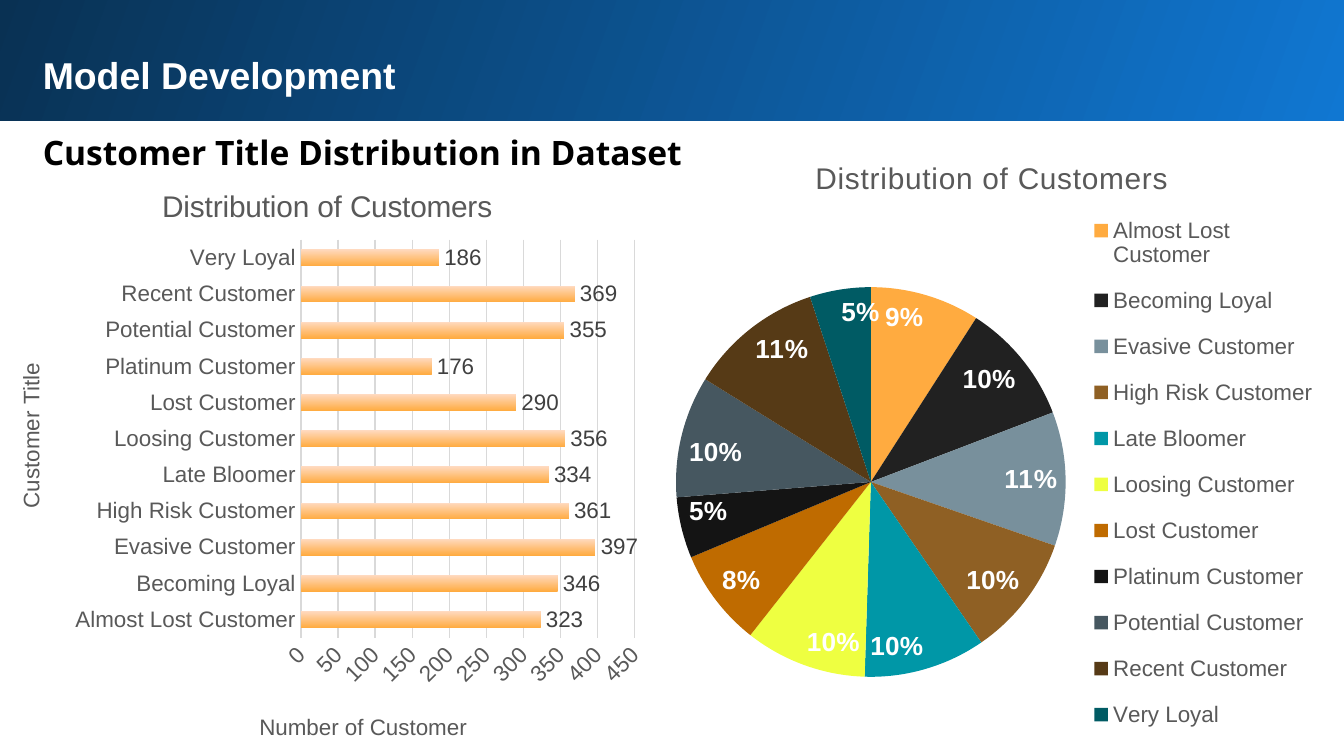
from dataclasses import dataclass

from lxml.etree import SubElement
from pptx import Presentation
from pptx.chart.data import CategoryChartData
from pptx.dml.color import RGBColor
from pptx.enum.chart import XL_CHART_TYPE, XL_LABEL_POSITION, XL_LEGEND_POSITION, XL_TICK_MARK
from pptx.enum.shapes import MSO_SHAPE
from pptx.enum.text import MSO_AUTO_SIZE
from pptx.oxml.ns import qn
from pptx.util import Inches, Pt

COLORS = {
    "white": "FFFFFF", "black": "000000", "gray": "595959", "label": "404040",
    "grid": "D9D9D9", "header_light": "1077D2", "header_dark": "093153",
    "bar": "FFAB40", "bar_light": "FFDAC0",
}


@dataclass
class Box:
    left: float
    top: float
    width: float
    height: float

    def inches(self) -> tuple:
        return tuple(Inches(v) for v in (self.left, self.top, self.width, self.height))


@dataclass
class Segment:
    title: str
    customers: int
    share: int
    color: str


SEGMENTS = [
    Segment("Almost Lost Customer", 323, 9, "FFAB40"),
    Segment("Becoming Loyal", 346, 10, "212121"),
    Segment("Evasive Customer", 397, 11, "78909C"),
    Segment("High Risk Customer", 361, 10, "8F6024"),
    Segment("Late Bloomer", 334, 10, "0097A7"),
    Segment("Loosing Customer", 356, 10, "EEFF41"),
    Segment("Lost Customer", 290, 8, "BF6B00"),
    Segment("Platinum Customer", 176, 5, "141414"),
    Segment("Potential Customer", 355, 10, "465760"),
    Segment("Recent Customer", 369, 11, "563A16"),
    Segment("Very Loyal", 186, 5, "005B64"),
]


def rgb(name: str) -> RGBColor:
    return RGBColor.from_string(COLORS.get(name, name))


def style_font(font, size: float, color: str, bold: bool = False, name: str = "Arial") -> None:
    font.size = Pt(size)
    font.name = name
    font.bold = bold
    font.color.rgb = rgb(color)


def write_text(frame, text: str, *, size: float, color: str, bold: bool = False,
               name: str = "Arial", line_spacing: float | None = None,
               tracking: int = 0) -> None:
    paragraph = frame.paragraphs[0]
    run = paragraph.add_run()
    run.text = text
    style_font(run.font, size, color, bold, name)
    if line_spacing:
        paragraph.line_spacing = line_spacing
    if tracking:
        run._r.get_or_add_rPr().set("spc", str(tracking))


def add_heading(slide, box: Box, text: str, **text_format) -> None:
    frame = slide.shapes.add_textbox(*box.inches()).text_frame
    frame.word_wrap = True
    frame.auto_size = MSO_AUTO_SIZE.SHAPE_TO_FIT_TEXT
    frame.margin_left = frame.margin_right = Inches(0.1)
    frame.margin_top = frame.margin_bottom = Inches(0.1)
    write_text(frame, text, **text_format)


def fill_gradient(fill, start: str, end: str, angle: float) -> None:
    fill.gradient()
    fill.gradient_angle = angle
    for stop, color in zip(fill.gradient_stops, (start, end)):
        stop.color.rgb = rgb(color)


def set_layout(element, index: int, inner: bool = False, **fractions: float) -> None:
    for old_layout in element.findall(qn("c:layout")):
        element.remove(old_layout)
    layout = element.makeelement(qn("c:layout"), {})
    element.insert(index, layout)
    manual = SubElement(layout, qn("c:manualLayout"))
    if inner:
        SubElement(manual, qn("c:layoutTarget")).set("val", "inner")
    for key in ("x", "y"):
        SubElement(manual, qn(f"c:{key}Mode")).set("val", "edge")
    for key, fraction in fractions.items():
        SubElement(manual, qn(f"c:{key}")).set("val", str(fraction))


def add_distribution(slide, box: Box, kind, values: list[int], tracking: int = 0):
    data = CategoryChartData()
    data.categories = [segment.title for segment in SEGMENTS]
    data.add_series("Series 1", values)
    chart = slide.shapes.add_chart(kind, *box.inches(), data).chart
    style_font(chart.font, 10, "black")
    chart.has_title = True
    write_text(chart.chart_title.text_frame, "Distribution of Customers",
               size=16, color="gray", tracking=tracking)
    chart.chart_title.include_in_layout = False
    return chart


def style_axis(axis, title: str, rotation: int) -> None:
    axis.major_tick_mark = axis.minor_tick_mark = XL_TICK_MARK.NONE
    style_font(axis.tick_labels.font, 12, "gray")
    axis.has_title = True
    write_text(axis.axis_title.text_frame, title, size=12, color="gray")
    body = axis.axis_title.text_frame._txBody.find(qn("a:bodyPr"))
    body.set("rot", str(rotation * 60000))
    body.set("vert", "horz")


def add_bar_chart(slide) -> None:
    chart = add_distribution(slide, Box(0, 1.21, 4.87, 4.42), XL_CHART_TYPE.BAR_CLUSTERED,
                             [segment.customers for segment in SEGMENTS])
    chart.has_legend = False
    plot = chart.plots[0]
    plot.gap_width, plot.overlap = 115, -20
    plot.vary_by_categories = False
    bars = plot.series[0]
    bars.invert_if_negative = False
    fill_gradient(bars.format.fill, "bar", "bar_light", 90)
    labels = bars.data_labels
    labels.show_value = True
    labels.position = XL_LABEL_POSITION.OUTSIDE_END
    style_font(labels.font, 12, "label")

    titles, counts = chart.category_axis, chart.value_axis
    style_axis(titles, "Customer Title", -90)
    titles.format.line.color.rgb = rgb("grid")
    titles.format.line.width = Pt(1)
    style_axis(counts, "Number of Customer", 0)
    counts.format.line.fill.background()
    counts.minimum_scale, counts.maximum_scale, counts.major_unit = 0, 450, 50
    counts.has_major_gridlines = True
    counts.major_gridlines.format.line.color.rgb = rgb("grid")
    counts.major_gridlines.format.line.width = Pt(0.75)

    root = chart.element
    title_axis = root.find(f".//{qn('c:catAx')}")
    count_axis = root.find(f".//{qn('c:valAx')}")
    count_axis.find(f"{qn('c:txPr')}/{qn('a:bodyPr')}").set("rot", str(-45 * 60000))
    set_layout(title_axis.find(qn("c:title")), 1, x=0.02, y=0.33)
    set_layout(count_axis.find(qn("c:title")), 1, x=0.39, y=0.92)
    set_layout(root.find(f".//{qn('c:plotArea')}"), 0, inner=True,
               x=0.46, y=0.13, w=0.51, h=0.67)


def add_pie_chart(slide) -> None:
    chart = add_distribution(slide, Box(4.88, 1, 5, 4.62), XL_CHART_TYPE.PIE,
                             [segment.share for segment in SEGMENTS], tracking=50)
    chart.has_legend = True
    chart.legend.position = XL_LEGEND_POSITION.RIGHT
    chart.legend.include_in_layout = False
    style_font(chart.legend.font, 12, "gray")
    chart.plots[0].vary_by_categories = True
    slices = chart.plots[0].series[0]
    for index, segment in enumerate(SEGMENTS):
        fill = slices.points[index].format.fill
        fill.solid()
        fill.fore_color.rgb = rgb(segment.color)
    labels = slices.data_labels
    labels.show_percentage = True
    labels.show_value = False
    labels.number_format, labels.number_format_is_linked = "0%", False
    labels.position = XL_LABEL_POSITION.INSIDE_END
    style_font(labels.font, 14, "white", bold=True)

    root = chart.element
    set_layout(root.find(f".//{qn('c:plotArea')}"), 0, inner=True,
               x=0.03, y=0.24, w=0.58, h=0.64)
    set_layout(root.find(f".//{qn('c:legend')}"), 1, x=0.64, y=0.1, w=0.35, h=0.89)


def main() -> None:
    deck = Presentation()
    deck.slide_width = Inches(10)
    deck.slide_height = deck.slide_width * 9 // 16
    slide = deck.slides.add_slide(deck.slide_layouts[6])
    header = slide.shapes.add_shape(MSO_SHAPE.RECTANGLE, *Box(-0.02, -0.02, 10.05, 0.92).inches())
    header.shadow.inherit = False
    header.line.fill.background()
    fill_gradient(header.fill, "header_light", "header_dark", 160)
    add_heading(slide, Box(0.22, 0.29, 9.37, 0.51), "Model Development",
                size=20, color="white", bold=True)
    add_heading(slide, Box(0.22, 0.84, 5.1, 0.53), "Customer Title Distribution in Dataset",
                size=18, color="black", bold=True, name="Open Sans", line_spacing=1.15)
    add_bar_chart(slide)
    add_pie_chart(slide)
    deck.save("out.pptx")


if __name__ == "__main__":
    main()
